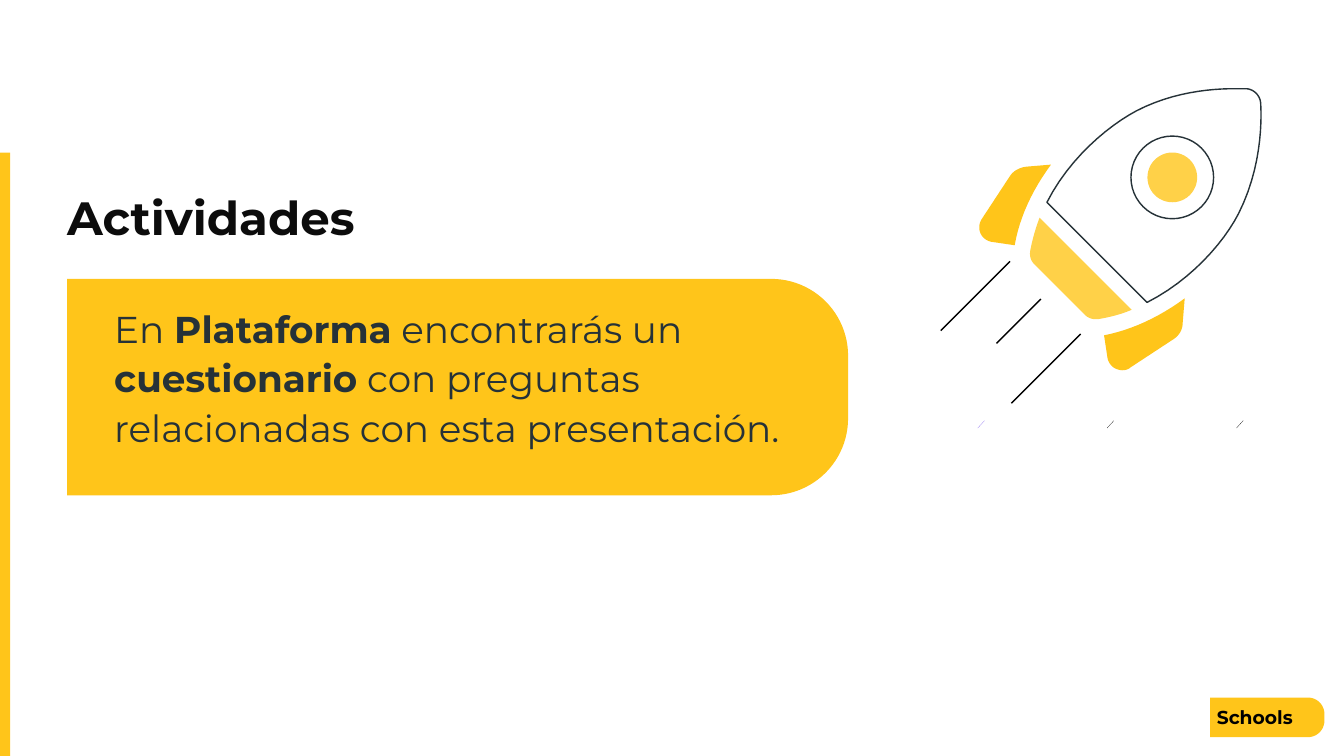
import pptx
import pptx.util
import pptx.dml.color
import pptx.enum.shapes
import pptx.enum.text
import lxml.etree
from dataclasses import dataclass

Inches = pptx.util.Inches
Pt = pptx.util.Pt
SHAPE = pptx.enum.shapes.MSO_SHAPE


@dataclass(frozen=True)
class Theme:
    font: str = "Montserrat"
    yellow: str = "FFC51A"
    light_yellow: str = "FFD148"
    white: str = "FFFFFF"
    black: str = "000000"
    heading: str = "0C0C0C"
    ink: str = "263238"
    violet: str = "8A6DF1"
    title_size: int = 50
    body_size: int = 40
    tag_size: int = 20
    stroke: float = 1.5
    hairline: float = 0.22


T = Theme()


def rgb(value):
    return pptx.dml.color.RGBColor.from_string(value)


def paint(sp, fill, line=None):
    sp.shadow.inherit = False
    sp.fill.solid()
    sp.fill.fore_color.rgb = rgb(fill)
    if line:
        sp.line.color.rgb = rgb(line)
        sp.line.width = Pt(T.stroke)
    else:
        sp.line.fill.background()
    return sp


def add_preset(s, kind, x, y, w, h, fill, line=None):
    sp = s.shapes.add_shape(kind, Inches(x), Inches(y), Inches(w), Inches(h))
    return paint(sp, fill, line)


def add_outline(s, x, y, start, steps, fill, line=None):
    """Each step is a line (x, y) or a cubic curve (x1, y1, x2, y2, x, y)."""
    points = [start]
    for step in steps:
        if len(step) == 2:
            points.append(step)
            continue
        x0, y0 = points[-1]
        x1, y1, x2, y2, x3, y3 = step
        for i in range(1, 13):
            t = i / 12
            u = 1 - t
            a, b, c, d = u ** 3, 3 * u * u * t, 3 * u * t * t, t ** 3
            points.append((a * x0 + b * x1 + c * x2 + d * x3,
                           a * y0 + b * y1 + c * y2 + d * y3))
    emu = [(Inches(x + px), Inches(y + py)) for px, py in points]
    builder = s.shapes.build_freeform(*emu[0], scale=1.0)
    builder.add_line_segments(emu[1:], close=True)
    return paint(builder.convert_to_shape(), fill, line)


def add_line(s, x1, y1, x2, y2, color, width):
    cn = s.shapes.add_connector(pptx.enum.shapes.MSO_CONNECTOR.STRAIGHT,
                                Inches(x1), Inches(y1), Inches(x2), Inches(y2))
    cn.line.color.rgb = rgb(color)
    cn.line.width = Pt(width)
    sppr = cn._element.spPr
    lxml.etree.SubElement(sppr, pptx.oxml.ns.qn("a:effectLst"))


def write(tf, runs, size, color, spacing, inset, **frame):
    margins = dict.fromkeys(
        ("margin_left", "margin_top", "margin_right", "margin_bottom"), Inches(inset))
    for name, value in {"word_wrap": True, **margins, **frame}.items():
        setattr(tf, name, value)
    p = tf.paragraphs[0]
    p.alignment = pptx.enum.text.PP_ALIGN.LEFT
    p.line_spacing = spacing
    for text, bold in runs:
        r = p.add_run()
        r.text = text
        for name, value in {"name": T.font, "size": Pt(size), "bold": bold}.items():
            setattr(r.font, name, value)
        r.font.color.rgb = rgb(color)


def add_text(s, x, y, w, h, runs, size, color):
    tb = s.shapes.add_textbox(Inches(x), Inches(y), Inches(w), Inches(h))
    write(tb.text_frame, runs, size, color, 1.1, 0,
          auto_size=pptx.enum.text.MSO_AUTO_SIZE.SHAPE_TO_FIT_TEXT)


def message_panel(s, x, y, w, h):
    # The preset rounds its top corners, so it is turned to face right
    sp = add_preset(s, SHAPE.ROUND_2_SAME_RECTANGLE,
                    x + (w - h) / 2, y + (h - w) / 2, h, w, T.yellow)
    sp.rotation = 90
    sp.adjustments[0] = 0.355
    sp.adjustments[1] = 0
    add_text(s, x + 0.7, y + 0.34, w - 1.4, 2.15, [
        ("En ", False), ("Plataforma", True), (" encontrarás un ", False),
        ("cuestionario", True),
        (" con preguntas relacionadas con esta presentación.", False),
    ], T.body_size, T.ink)


def rocket(s, x, y):
    # Ground ticks
    for i, color in enumerate((T.violet, T.black, T.black)):
        left = x + 0.55 + 1.925 * i
        add_line(s, left, y + 5.07, left + 0.1, y + 4.96, color, T.hairline)

    # Fins and tail band
    add_outline(s, x, y, (1.64, 1.15), [
        (1.28, 1.18), (1.18, 1.19, 1.08, 1.24, 1.03, 1.32), (0.61, 1.96),
        (0.57, 2.02, 0.56, 2.1, 0.59, 2.17), (0.62, 2.24, 0.69, 2.29, 0.76, 2.3),
        (1.1, 2.35), (1.17, 1.94, 1.36, 1.53, 1.64, 1.15)], T.yellow)
    add_outline(s, x, y, (3.63, 3.14), [
        (3.25, 3.42, 2.84, 3.61, 2.43, 3.69), (2.48, 4.02),
        (2.49, 4.09, 2.54, 4.16, 2.61, 4.19), (2.64, 4.2, 2.67, 4.21, 2.7, 4.21),
        (2.74, 4.21, 2.79, 4.2, 2.82, 4.17), (3.46, 3.75),
        (3.54, 3.7, 3.6, 3.61, 3.6, 3.51)], T.yellow)
    add_outline(s, x, y, (1.47, 1.94), [
        (1.41, 2.1, 1.36, 2.27, 1.33, 2.44), (1.32, 2.51, 1.34, 2.58, 1.39, 2.63),
        (2.15, 3.39), (2.19, 3.43, 2.25, 3.45, 2.3, 3.45), (2.34, 3.45),
        (2.51, 3.42, 2.68, 3.38, 2.84, 3.31)], T.light_yellow)

    # Hull
    add_outline(s, x, y, (4.37, 0.02), [
        (4.01, 0.02, 3.45, 0.07, 2.91, 0.35), (2.48, 0.58, 1.91, 1.06, 1.58, 1.71),
        (3.07, 3.2), (3.72, 2.87, 4.21, 2.31, 4.43, 1.88),
        (4.76, 1.23, 4.78, 0.55, 4.76, 0.23), (4.75, 0.12, 4.66, 0.03, 4.55, 0.02)],
        T.white, T.ink)

    # Window, as two concentric circles
    for size, fill, line in ((1.23, T.white, T.ink), (0.74, T.light_yellow, None)):
        add_preset(s, SHAPE.OVAL, x + 3.445 - size / 2, y + 1.34 - size / 2,
                   size, size, fill, line)

    # Speed lines, each falling to the left at 45 degrees
    for right, top, run in ((1.03, 2.59, 1.03), (2.08, 3.67, 1.03), (1.49, 3.15, 0.66)):
        add_line(s, x + right, y + top, x + right - run, y + top + run,
                 T.black, T.stroke)


def footer_tag(s, x, y, w, h):
    r, k = 0.25, 0.11  # corner radius and curve handle
    sp = add_outline(s, x, y, (0, 0), [
        (w - r, 0), (w - k, 0, w, k, w, r), (w, h - r),
        (w, h - k, w - k, h, w - r, h), (0, h)], T.yellow)
    write(sp.text_frame, [("Schools", True)], T.tag_size, T.black, 1.0, 0.1,
          vertical_anchor=pptx.enum.text.MSO_ANCHOR.MIDDLE)


def main():
    prs = pptx.Presentation()
    prs.slide_width, prs.slide_height = Inches(20), Inches(11.25)
    s = prs.slides.add_slide(prs.slide_layouts[6])
    s.background.fill.solid()
    s.background.fill.fore_color.rgb = rgb(T.white)

    add_text(s, 1, 2.72, 10.19, 0.84, [("Actividades", True)], T.title_size, T.heading)
    add_preset(s, SHAPE.RECTANGLE, 0, 2.27, 0.15, 8.98, T.yellow)  # side bar
    message_panel(s, 1, 4.15, 11.62, 3.22)
    rocket(s, 14, 1.3)
    footer_tag(s, 18.01, 10.38, 1.7, 0.59)
    prs.save("out.pptx")


if __name__ == "__main__":
    main()
